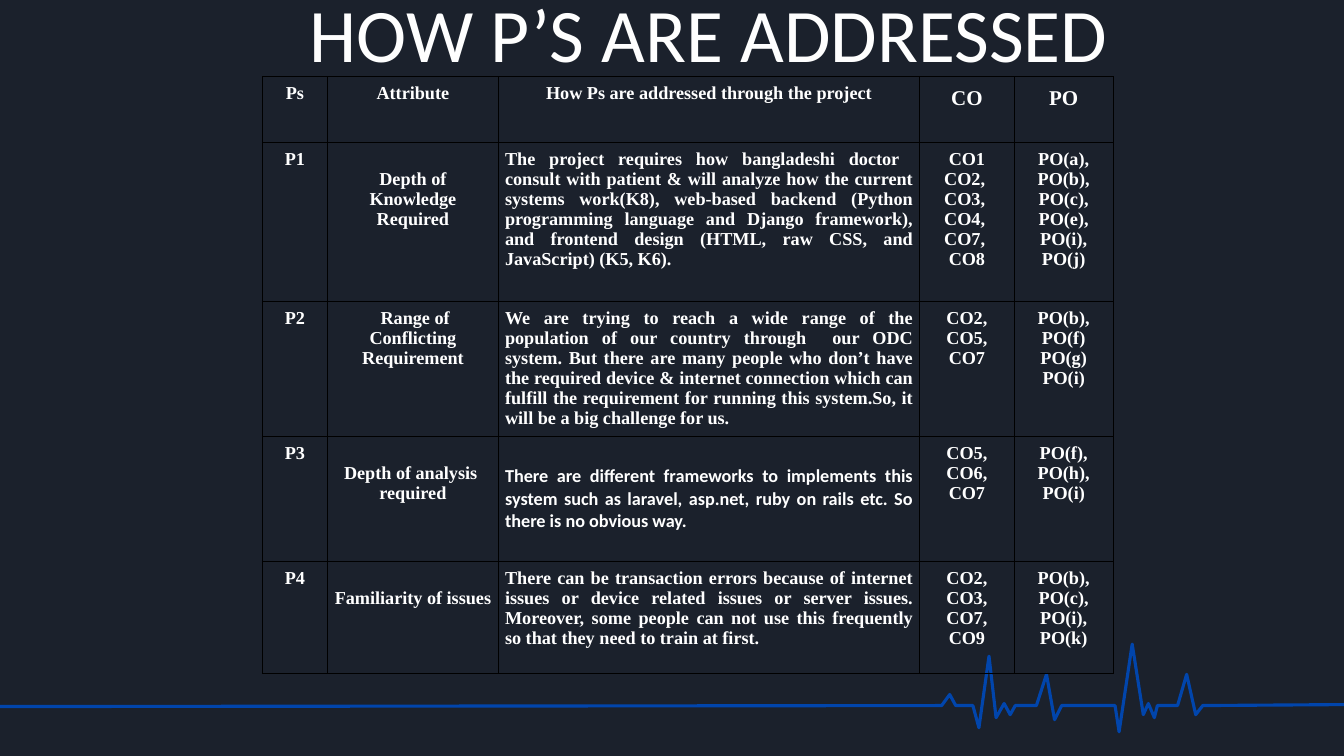
"""Build the slide on how the P attributes are addressed, with its table and pulse line."""
from dataclasses import dataclass

from lxml import etree
from pptx import Presentation
from pptx.dml.color import RGBColor
from pptx.enum.text import MSO_ANCHOR, MSO_AUTO_SIZE, PP_ALIGN
from pptx.oxml.ns import qn
from pptx.util import Emu, Pt

CENTER, JUSTIFY = PP_ALIGN.CENTER, PP_ALIGN.JUSTIFY
MIDDLE = MSO_ANCHOR.MIDDLE
NO_AUTOFIT = MSO_AUTO_SIZE.NONE
TITLE_ONLY = 5
EMU_PER_PX = 9144
CELL_INSET = 7


@dataclass(frozen=True)
class Theme:
    background: str = "1B212C"
    title: str = "FEFEFE"
    text: str = "FFFFFF"
    pulse: str = "0145AC"
    border: str = "000000"
    sans: str = "Calibri"
    serif: str = "Times New Roman"
    title_size: int = 54
    heading_size: int = 15
    body_size: int = 13
    pulse_width: float = 2.25
    border_width: float = 0.5


THEME = Theme()


@dataclass(frozen=True)
class CellText:
    lines: tuple[str, ...]
    align: PP_ALIGN = CENTER
    font: str = THEME.serif
    size: int = THEME.body_size
    drop: int = 0
    line_spacing: float = 1.0


COLUMNS = (65, 169, 418, 94, 98)
ROWS = (
    (65, (
        CellText(("Ps",)),
        CellText(("Attribute",)),
        CellText(("How Ps are addressed through the project",)),
        CellText(("CO",), size=THEME.heading_size, line_spacing=1.15),
        CellText(("PO",), size=THEME.heading_size, line_spacing=1.15),
    )),
    (158, (
        CellText(("P1",)),
        CellText(("Depth of Knowledge Required",), drop=20),
        CellText((
            "The project requires how bangladeshi doctor  consult with patient & will "
            "analyze how the current systems work(K8), web-based backend (Python "
            "programming language and Django framework), and frontend design (HTML, "
            "raw CSS, and JavaScript) (K5, K6).",), JUSTIFY),
        CellText(("CO1", "CO2, ", "CO3, ", "CO4, ", "CO7, ", "CO8")),
        CellText(("PO(a),", "PO(b),", "PO(c),", "PO(e),", "PO(i),", "PO(j)")),
    )),
    (134, (
        CellText(("P2",)),
        CellText((" Range of Conflicting Requirement",)),
        CellText((
            "We are trying to reach a wide range of the population of our country "
            "through  our ODC system. But there are many people who don’t have the "
            "required device & internet connection which can fulfill the requirement "
            "for running this system.So, it will be a big challenge for us.",), JUSTIFY),
        CellText(("CO2,", "CO5,", "CO7")),
        CellText(("PO(b),", "PO(f)", "PO(g)", "PO(i)")),
    )),
    (124, (
        CellText(("P3",)),
        CellText(("Depth of analysis ", "required"), drop=20),
        CellText((
            "There are different frameworks to implements this system such as laravel, "
            "asp.net, ruby on rails etc. So there is no obvious way.",),
            JUSTIFY, THEME.sans, drop=22),
        CellText(("CO5,", "CO6,", "CO7")),
        CellText(("PO(f),", "PO(h),", "PO(i)")),
    )),
    (111, (
        CellText(("P4",)),
        CellText(("Familiarity of issues",), drop=20),
        CellText((
            "There can be transaction errors because of internet issues or device "
            "related issues or server issues. Moreover, some people can not use this "
            "frequently so that they need to train at first.",), JUSTIFY),
        CellText(("CO2,", "CO3,", "CO7,", "CO9")),
        CellText(("PO(b),", "PO(c),", "PO(i),", "PO(k)")),
    )),
)

PULSE = (
    (1334, 699), (1193, 700), (1186, 709), (1177, 669), (1168, 700), (1148, 700),
    (1145, 712), (1139, 698), (1134, 709), (1123, 639), (1110, 726), (1106, 700),
    (1053, 700), (1046, 714), (1038, 669), (1028, 700), (1007, 700), (1002, 709),
    (996, 698), (988, 712), (981, 651), (971, 722), (965, 700), (948, 700),
    (942, 689), (934, 700), (-2, 701),
)


def px(length: int) -> Emu:
    """Turn whole px into EMU."""
    return Emu(length * EMU_PER_PX)


def apply(target: object, formats: dict) -> None:
    """Set each named attribute on the target."""
    for name, value in formats.items():
        setattr(target, name, value)


def add_span(para, text: str, color: str, formats: dict) -> None:
    """Add formatted text to a paragraph."""
    span = para.add_run()
    span.text = text
    apply(span.font, formats)
    span.font.color.rgb = RGBColor.from_string(color)


def draw_pulse(page) -> None:
    """Draw the heartbeat line."""
    builder = page.shapes.build_freeform(*PULSE[0], scale=EMU_PER_PX)
    builder.add_line_segments(PULSE[1:], close=False)
    pulse = builder.convert_to_shape()
    pulse.shadow.inherit = False
    pulse.fill.background()
    pulse.line.color.rgb = RGBColor.from_string(THEME.pulse)
    pulse.line.width = Pt(THEME.pulse_width)


def draw_title(page) -> None:
    """Place and format the title placeholder."""
    box = page.shapes.title
    apply(box, {"left": px(70), "top": px(4), "width": px(1266), "height": px(79)})
    apply(box.text_frame, {"word_wrap": True, "auto_size": NO_AUTOFIT,
                           "vertical_anchor": MIDDLE})
    para = box.text_frame.paragraphs[0]
    apply(para, {"alignment": CENTER, "line_spacing": 0.7, "space_after": Pt(16)})
    add_span(para, "HOW P’S ARE ADDRESSED", THEME.title,
             {"name": THEME.sans, "size": Pt(THEME.title_size), "bold": False})


def draw_borders(cell) -> None:
    """Give a cell a thin line on all four sides."""
    properties = cell._tc.get_or_add_tcPr()
    for index, side in enumerate(("a:lnL", "a:lnR", "a:lnT", "a:lnB")):
        line = etree.Element(qn(side), w=str(Pt(THEME.border_width)))
        fill = etree.SubElement(line, qn("a:solidFill"))
        etree.SubElement(fill, qn("a:srgbClr"), val=THEME.border)
        properties.insert(index, line)


def fill_cell(cell, content: CellText) -> None:
    """Write and format one table cell."""
    inset = px(CELL_INSET)
    apply(cell, {"margin_left": inset, "margin_right": inset, "margin_bottom": inset,
                 "margin_top": px(CELL_INSET + content.drop)})
    cell.fill.background()
    draw_borders(cell)
    frame = cell.text_frame
    for index, text in enumerate(content.lines):
        para = frame.add_paragraph() if index else frame.paragraphs[0]
        apply(para, {"alignment": content.align, "line_spacing": content.line_spacing})
        add_span(para, text, THEME.text,
                 {"name": content.font, "size": Pt(content.size), "bold": True})


def draw_table(page) -> None:
    """Draw the table of attributes and outcomes."""
    height = sum(row_height for row_height, _ in ROWS)
    table = page.shapes.add_table(len(ROWS), len(COLUMNS), px(260), px(76),
                                  px(sum(COLUMNS)), px(height)).table
    apply(table, {"first_row": False, "horz_banding": False})
    for column, width in zip(table.columns, COLUMNS):
        column.width = px(width)
    for row, (row_height, contents) in zip(table.rows, ROWS):
        row.height = px(row_height)
        for cell, content in zip(row.cells, contents):
            fill_cell(cell, content)


def main() -> None:
    """Build and save the deck."""
    deck = Presentation()
    apply(deck, {"slide_width": px(1333), "slide_height": px(750)})
    page = deck.slides.add_slide(deck.slide_layouts[TITLE_ONLY])
    page.background.fill.solid()
    page.background.fill.fore_color.rgb = RGBColor.from_string(THEME.background)
    draw_pulse(page)
    draw_title(page)
    draw_table(page)
    deck.save("out.pptx")


if __name__ == "__main__":
    main()
